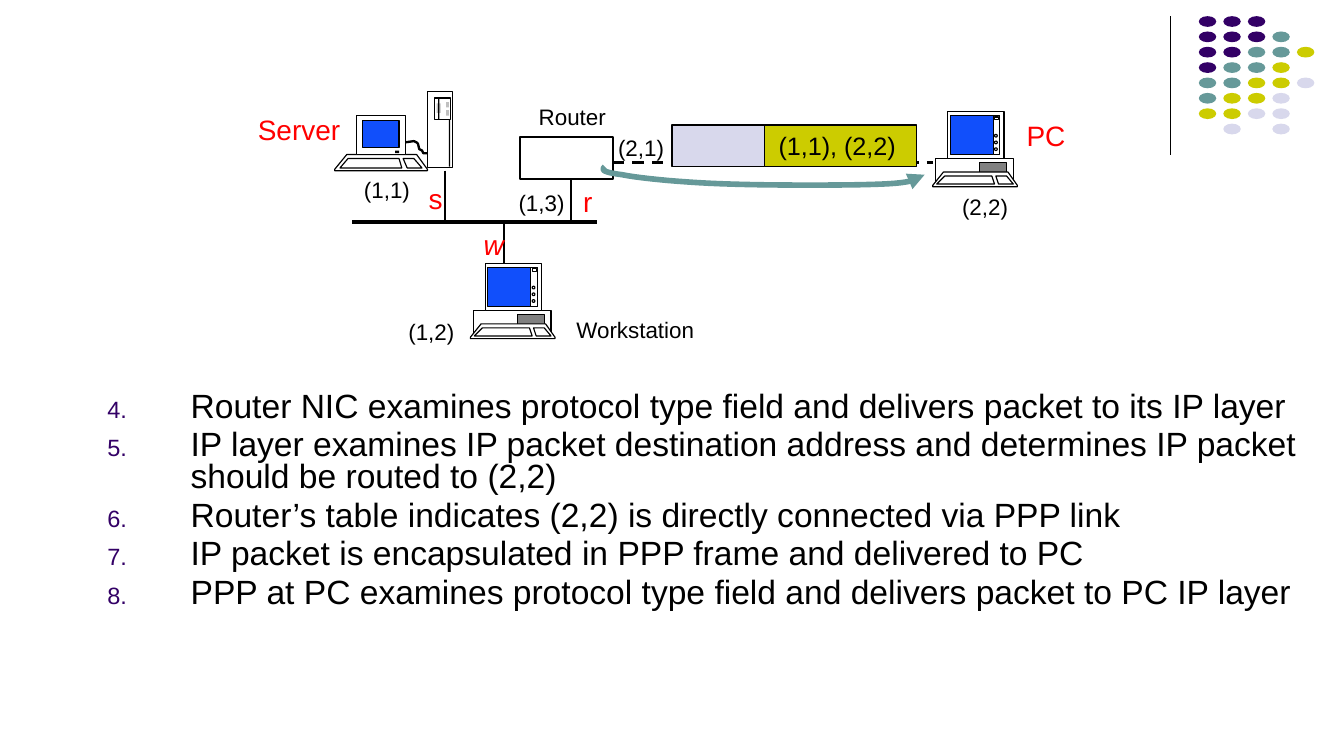
from lxml.etree import SubElement
from pptx import Presentation
from pptx.dml.color import RGBColor
from pptx.enum.dml import MSO_LINE
from pptx.enum.shapes import MSO_CONNECTOR, MSO_SHAPE
from pptx.enum.text import MSO_ANCHOR, MSO_AUTO_SIZE, PP_ALIGN
from pptx.oxml.ns import qn
from pptx.util import Inches, Pt

COLORS = {
    "black": "000000", "white": "FFFFFF", "red": "FF0000", "screen": "114FFB",
    "gray": "808080", "silver": "C0C0C0", "purple": "330066", "teal": "669999",
    "olive": "CCCC00", "lilac": "D8D8EC",
}
DOT_COLORS = {"P": "purple", "T": "teal", "O": "olive", "L": "lilac"}
DOT_ROWS = ["PPP", "PPPT", "PPTTO", "PTTO", "TTOOL", "TOOL", "OOLL", " L L"]
STEPS = [
    "Router NIC examines protocol type field and delivers packet to its IP layer",
    "IP layer examines IP packet destination address and determines IP packet should be routed to (2,2)",
    "Router’s table indicates (2,2) is directly connected via PPP link",
    "IP packet is encapsulated in PPP frame and delivered to PC",
    "PPP at PC examines protocol type field and delivers packet to PC IP layer",
]
LABELS = [
    ("(1,1)", 0.81, 0.58, 0.55, 12, "black"),
    ("s", 1.29, 0.62, 0.31, 15, "red"),
    ("(1,2)", 1.14, 1.64, 0.55, 12, "black"),
    ("w", 1.7, 0.96, 0.35, 15, "red"),
    ("(2,1)", 2.7, 0.27, 0.55, 12, "black"),
    ("(1,3)", 1.96, 0.68, 0.55, 12, "black"),
    ("r", 2.44, 0.64, 0.27, 15, "red"),
    ("(2,2)", 5.26, 0.71, 0.55, 12, "black"),
    ("PC", 5.74, 0.15, 0.49, 15, "red"),
    ("Server", 0.02, 0.11, 0.82, 15, "red"),
    ("Router", 2.11, 0.04, 0.71, 12, "black"),
    ("Workstation", 2.39, 1.62, 1.09, 12, "black"),
]


def rgb(name):
    """Look up a palette colour."""
    return RGBColor.from_string(COLORS[name])


def paint(sp, fill, line, width):
    """Set fill and outline, and drop the shadow."""
    sp.shadow.inherit = False
    for part, color in ((sp.fill, fill), (sp.line.fill, line)):
        if color:
            part.solid()
            part.fore_color.rgb = rgb(color)
        else:
            part.background()
    if line:
        sp.line.width = Pt(width)
    return sp


def add_block(s, x, y, w, h, fill="white", line="black", width=0.63, kind=MSO_SHAPE.RECTANGLE):
    """Add a preset shape."""
    sp = s.shapes.add_shape(kind, Inches(x), Inches(y), Inches(w), Inches(h))
    return paint(sp, fill, line, width)


def add_outline(s, x, y, points, fill="white", line="black", width=0.63):
    """Add a freeform through points relative to x, y; it is closed when filled."""
    pts = [(Inches(x + px), Inches(y + py)) for px, py in points]
    builder = s.shapes.build_freeform(*pts[0])
    builder.add_line_segments(pts[1:], close=bool(fill))
    return paint(builder.convert_to_shape(), fill, line, width)


def add_line(s, x1, y1, x2, y2, width=1):
    """Add a straight black line."""
    c = s.shapes.add_connector(MSO_CONNECTOR.STRAIGHT, Inches(x1), Inches(y1), Inches(x2), Inches(y2))
    c.line.color.rgb = rgb("black")
    c.line.width = Pt(width)
    SubElement(c._element.spPr, qn("a:effectLst"))
    return c


def add_run(p, text, size, color):
    """Add a formatted run."""
    r = p.add_run()
    r.text = text
    r.font.name = "Arial"
    r.font.size = Pt(size)
    r.font.color.rgb = rgb(color)
    return r


def add_label(s, x, y, text, w, size, color):
    """Add a one-line label."""
    tb = s.shapes.add_textbox(Inches(x), Inches(y), Inches(w), Inches(0.3 if size == 12 else 0.35))
    tf = tb.text_frame
    tf.word_wrap = False
    tf.auto_size = MSO_AUTO_SIZE.SHAPE_TO_FIT_TEXT
    r = add_run(tf.paragraphs[0], text, size, color)
    if text == "w":
        r.font.italic = True


def add_dots(s, x, y, w, h):
    """Add the corner rule and its grid of dots."""
    add_line(s, x, y, x, y + 1.03, 0.75)
    for j, row in enumerate(DOT_ROWS):
        for i, key in enumerate(row):
            if key in DOT_COLORS:
                add_block(s, x + 0.21 + i * w / 4, y + j * h / 7, 0.13, 0.08,
                          DOT_COLORS[key], None, kind=MSO_SHAPE.OVAL)


def add_computer(s, x, y):
    """Add a desktop computer with its keyboard."""
    add_block(s, x + 0.02, y + 0.35, 0.58, 0.18)
    add_block(s, x + 0.35, y + 0.38, 0.2, 0.08, "gray")
    add_outline(s, x, y, [(0.08, 0.45), (0.56, 0.45), (0.63, 0.55), (0.63, 0.56), (0, 0.56), (0, 0.55)])
    add_outline(s, x, y, [(0.09, 0.48), (0.44, 0.48), (0.46, 0.54), (0.03, 0.54)])
    add_outline(s, x, y, [(0.47, 0.48), (0.55, 0.48), (0.6, 0.54), (0.49, 0.54)])
    add_block(s, x + 0.11, y, 0.42, 0.35)
    add_block(s, x + 0.13, y + 0.03, 0.37, 0.29, "screen")
    add_block(s, x + 0.45, y + 0.03, 0.05, 0.29)
    add_block(s, x + 0.46, y + 0.04, 0.03, 0.02)
    for i in range(3):
        add_block(s, x + 0.46, y + 0.17 + i * 0.05, 0.02, 0.02, kind=MSO_SHAPE.OVAL)


def add_server(s, x, y):
    """Add a server: terminal, cable and tower."""
    add_outline(s, x, y, [(0.52, 0.38), (0.59, 0.37), (0.61, 0.38), (0.62, 0.39), (0.63, 0.43),
                          (0.65, 0.44), (0.66, 0.46), (0.71, 0.46)], None, width=1.25)
    add_outline(s, x, y, [(0.09, 0.47), (0.61, 0.47), (0.69, 0.58), (0.69, 0.59), (0, 0.59), (0, 0.58)])
    add_outline(s, x, y, [(0.1, 0.5), (0.48, 0.5), (0.5, 0.57), (0.04, 0.57)])
    add_outline(s, x, y, [(0.51, 0.5), (0.59, 0.5), (0.65, 0.57), (0.54, 0.57)])
    add_block(s, x + 0.16, y + 0.18, 0.37, 0.29)
    add_block(s, x + 0.21, y + 0.22, 0.27, 0.2, "screen")
    add_block(s, x + 0.45, y + 0.44, 0.03, 0.02, "black", None)
    add_block(s, x + 0.69, y, 0.19, 0.57)
    add_block(s, x + 0.74, y + 0.05, 0.12, 0.16)
    for dx, dy, w, h, fill in [(0.85, 0.21, 0.01, 0.35, "black"), (0.76, 0.09, 0.03, 0.07, "silver"),
                               (0.77, 0.05, 0.01, 0.16, "black"), (0.83, 0.08, 0.02, 0.04, "silver"),
                               (0.83, 0.14, 0.02, 0.04, "silver")]:
        add_block(s, x + dx, y + dy, w, h, fill, None)


def bezier(a, b, c, d, steps=12):
    """Return points along a cubic curve, without its start."""
    ts = [i / steps for i in range(1, steps + 1)]
    return [tuple((1 - t) ** 3 * a[k] + 3 * (1 - t) ** 2 * t * b[k] + 3 * (1 - t) * t ** 2 * c[k]
                  + t ** 3 * d[k] for k in (0, 1)) for t in ts]


def add_packet(s, x, y):
    """Add the PPP frame and the curved arrow beneath it."""
    sp = add_block(s, x + 0.69, y, 1.13, 0.31, "olive", width=0.75)
    tf = sp.text_frame
    tf.word_wrap = False
    tf.vertical_anchor = MSO_ANCHOR.MIDDLE
    tf.margin_right = Inches(0.15)
    tf.paragraphs[0].alignment = PP_ALIGN.CENTER
    add_run(tf.paragraphs[0], "(1,1), (2,2)", 13.5, "black")
    add_block(s, x, y, 0.69, 0.31, "lilac", width=0.75)
    knots = [(-0.5, 0.31), (-0.52, 0.33), (-0.53, 0.35), (-0.37, 0.37), (-0.22, 0.4), (0.11, 0.43),
             (0.44, 0.44), (0.76, 0.45), (1.32, 0.45), (1.56, 0.44), (1.8, 0.43), (1.84, 0.4), (1.88, 0.37)]
    points = knots[:1]
    for i in range(0, len(knots) - 1, 3):
        points += bezier(*knots[i:i + 4])
    arrow = add_outline(s, x, y, points, None, "teal", 3)
    SubElement(arrow.line._get_or_add_ln(), qn("a:tailEnd"), type="triangle")


def add_network(s, x, y):
    """Add the network diagram."""
    add_line(s, x + 0.82, y + 0.97, x + 2.64, y + 0.97, 2.25)
    add_computer(s, x + 1.7, y + 1.28)
    add_server(s, x + 0.69, y)
    add_block(s, x + 2.07, y + 0.34, 0.69, 0.31, width=1)
    for dx, top, bottom in [(1.51, 0.59, 0.97), (1.95, 0.97, 1.28), (2.45, 0.65, 0.97)]:
        add_line(s, x + dx, y + top, x + dx, y + bottom)
    add_computer(s, x + 5.14, y + 0.15)
    add_line(s, x + 2.76, y + 0.53, x + 5.14, y + 0.53, 1.5).line.dash_style = MSO_LINE.DASH
    for text, dx, dy, *style in LABELS:
        add_label(s, x + dx, y + dy, text, *style)
    add_packet(s, x + 3.2, y + 0.25)


def add_steps(s, x, y, w, h):
    """Add the numbered steps."""
    tf = s.shapes.add_textbox(Inches(x), Inches(y), Inches(w), Inches(h)).text_frame
    tf.word_wrap = True
    for i, text in enumerate(STEPS):
        p = tf.add_paragraph() if i else tf.paragraphs[0]
        p.line_spacing = 0.8
        p.space_before = Pt(3.3 if i else 0)
        pPr = p._p.get_or_add_pPr()
        pPr.set("marL", str(Inches(0.62)))
        pPr.set("indent", str(-Inches(0.62)))
        SubElement(SubElement(pPr, qn("a:buClr")), qn("a:srgbClr"), val=COLORS["purple"])
        SubElement(pPr, qn("a:buSzPct"), val="70000")
        SubElement(pPr, qn("a:buFont"), typeface="Arial")
        SubElement(pPr, qn("a:buAutoNum"), type="arabicPeriod", startAt="4")
        add_run(p, text, 18, "black")


prs = Presentation()
prs.slide_width = Inches(10)
prs.slide_height = prs.slide_width * 9 // 16
s = prs.slides.add_slide(prs.slide_layouts[6])
add_dots(s, 8.71, 0.12, 0.73, 0.8)
add_steps(s, 0.7, 2.87, 9.11, 1.88)
add_network(s, 1.8, 0.68)
prs.save("out.pptx")
